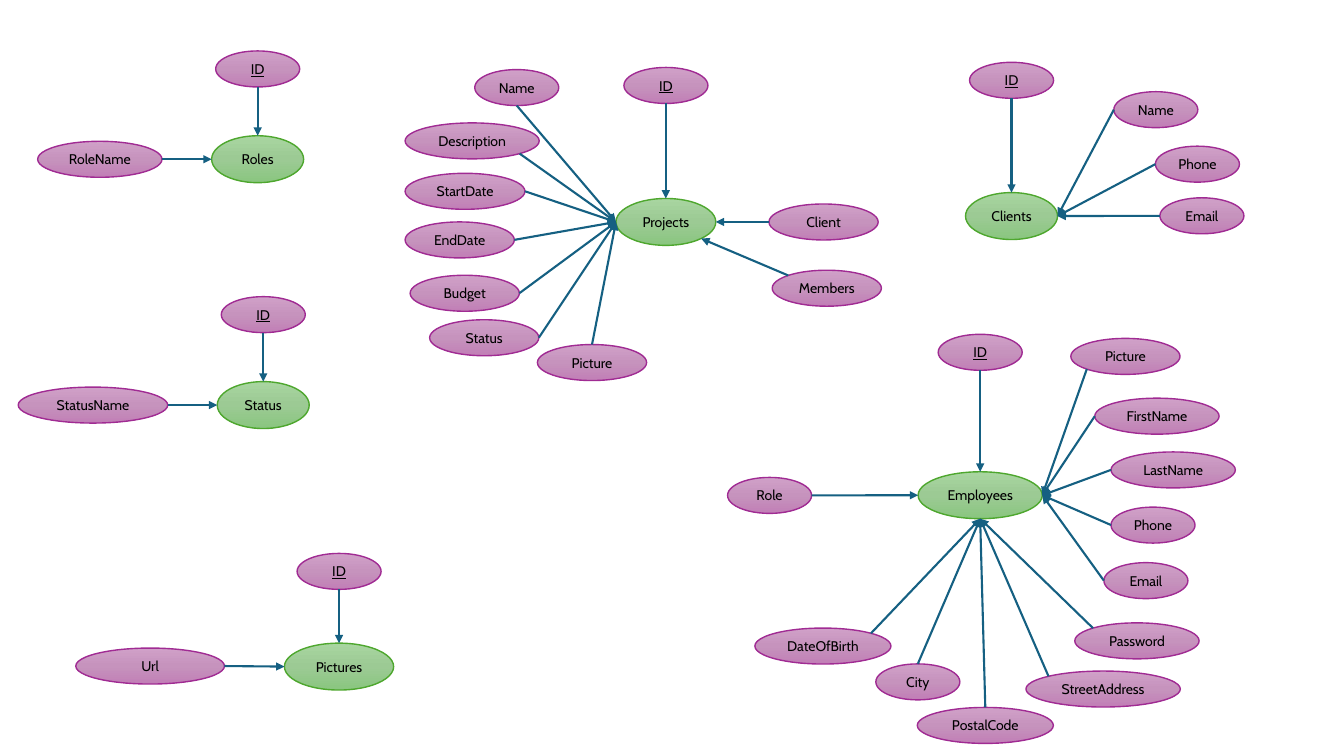
"""Entity diagram: six tables, each with its attributes pointing at it."""
from copy import deepcopy

from lxml.etree import SubElement
from pptx import Presentation
from pptx.dml.color import RGBColor
from pptx.enum.shapes import MSO_CONNECTOR as Link, MSO_SHAPE as Preset
from pptx.enum.text import MSO_ANCHOR as Anchor, PP_ALIGN as Align
from pptx.oxml.ns import qn
from pptx.util import Pt

BLACK = RGBColor(0x00, 0x00, 0x00)
ARROW_BLUE = RGBColor(0x15, 0x60, 0x82)
GREEN_EDGE = RGBColor(0x4E, 0xA7, 0x2E)
PURPLE_EDGE = RGBColor(0xA0, 0x2B, 0x93)
GREENS = (RGBColor(0xA8, 0xD5, 0xA0), RGBColor(0x9C, 0xCA, 0x94), RGBColor(0x8A, 0xC6, 0x80))
PURPLES = (RGBColor(0xD0, 0xA0, 0xC8), RGBColor(0xC6, 0x93, 0xBD), RGBColor(0xC1, 0x7F, 0xB6))

ENTITY_HEIGHT, ATTRIBUTE_HEIGHT = 33.5, 25.7
SHORT, MEDIUM, LONG = 60, 78, 88.8
DIAGONAL = 0.5 ** 0.5
SITES = {
    "top": (0, 0, -1), "top left": (1, -DIAGONAL, -DIAGONAL),
    "left": (2, -1, 0), "bottom left": (3, -DIAGONAL, DIAGONAL),
    "bottom": (4, 0, 1), "bottom right": (5, DIAGONAL, DIAGONAL),
    "right": (6, 1, 0), "top right": (7, DIAGONAL, -DIAGONAL),
}
LABEL_FONT = {"name": "Cabin", "size": Pt(10)}

ENTITIES = [
    ("Projects", 440, 141.8, 71.3, 48.2, [
        ("Name", 339.1, 49.7, SHORT, "bottom", "left"),
        ("Description", 289.4, 87.8, 95.8, "bottom right", "left"),
        ("StartDate", 289.4, 123.8, 85.6, "right", "left"),
        ("EndDate", 289.4, 158.5, MEDIUM, "right", "left"),
        ("Budget", 293, 196.6, MEDIUM, "right", "left"),
        ("Status", 306.9, 228.4, MEDIUM, "right", "left"),
        ("Picture", 383.9, 246.1, MEDIUM, "top", "left"),
        ("Client", 549.3, 145.7, MEDIUM, "left", "right"),
        ("Members", 551.6, 193, MEDIUM, "top left", "bottom right"),
    ]),
    ("Clients", 689.7, 137.6, 65.7, 44.5, [
        ("Name", 795.6, 65.5, SHORT, "left", "right"),
        ("Phone", 825.3, 104.4, SHORT, "left", "right"),
        ("Email", 828.5, 141.3, SHORT, "left", "right"),
    ]),
    ("Employees", 655.8, 337, 88.7, 238.8, [
        ("FirstName", 782, 284.4, LONG, "left", "right"),
        ("LastName", 793.6, 322.8, LONG, "left", "right"),
        ("Phone", 793.6, 362.2, SHORT, "left", "right"),
        ("Email", 788.5, 401.9, SHORT, "left", "right"),
        ("Role", 519.7, 341, SHORT, "right", "left"),
        ("Password", 767.7, 444.9, LONG, "top left", "bottom"),
        ("Picture", 764.9, 241.7, MEDIUM, "bottom left", "right"),
        ("StreetAddress", 732.8, 479.3, 110.3, "top left", "bottom"),
        ("PostalCode", 655.2, 505.3, 97.2, "top", "bottom"),
        ("City", 625.6, 474.2, SHORT, "top", "bottom"),
        ("DateOfBirth", 539.2, 448.6, 97.2, "top right", "bottom"),
    ]),
    ("Roles", 151.2, 97, 65.7, 36.4, [
        ("RoleName", 26.9, 100.9, LONG, "right", "left"),
    ]),
    ("Status", 155.2, 272.6, 65.7, 211.9, [
        ("StatusName", 13, 276.5, 106.8, "right", "left"),
    ]),
    ("Pictures", 203.2, 459.4, MEDIUM, 395.3, [
        ("Url", 54.1, 462.9, 106.2, "right", "left"),
    ]),
]


def add_oval(slide, label, left, top, width, height, shades, edge):
    """Add a gradient oval with a centred label and return it."""
    oval = slide.shapes.add_shape(Preset.OVAL, Pt(left), Pt(top), Pt(width), Pt(height))
    oval.shadow.inherit = False
    oval.fill.gradient()
    oval.fill.gradient_angle = 270
    stop_list = oval._element.spPr.find(qn("a:gradFill")).find(qn("a:gsLst"))
    stop_list.insert(1, deepcopy(stop_list[0]))
    for stop, shade, position in zip(oval.fill.gradient_stops, shades, (0, 0.5, 1)):
        stop.color.rgb = shade
        stop.position = position
    oval.line.color.rgb = edge
    oval.line.width = Pt(1)
    frame = oval.text_frame
    frame.word_wrap = False
    frame.vertical_anchor = Anchor.MIDDLE
    paragraph = frame.paragraphs[0]
    paragraph.alignment = Align.CENTER
    run = paragraph.add_run()
    run.text = label
    for key, value in LABEL_FONT.items():
        setattr(run.font, key, value)
    run.font.color.rgb = BLACK
    if label == "ID":
        run.font.underline = True
    return oval


def add_arrow(slide, start, start_site, end, end_site):
    """Join two ovals at the named sites with an arrow."""
    ends = []
    for oval, site in ((start, start_site), (end, end_site)):
        _, across, down = SITES[site]
        ends.append(int(oval.left + oval.width * (1 + across) / 2))
        ends.append(int(oval.top + oval.height * (1 + down) / 2))
    arrow = slide.shapes.add_connector(Link.STRAIGHT, *ends)
    arrow.line.color.rgb = ARROW_BLUE
    arrow.line.width = Pt(1.5)
    properties = arrow._element.spPr
    SubElement(properties.find(qn("a:ln")), qn("a:tailEnd"), type="triangle")
    SubElement(properties, qn("a:effectLst"))
    joints = arrow._element.nvCxnSpPr.cNvCxnSpPr
    for tag, oval, site in (("a:stCxn", start, start_site), ("a:endCxn", end, end_site)):
        SubElement(joints, qn(tag), id=str(oval.shape_id), idx=str(SITES[site][0]))


deck = Presentation()
deck.slide_width, deck.slide_height = Pt(960), Pt(540)
diagram = deck.slides.add_slide(deck.slide_layouts[6])

for entity_name, left, top, width, key_top, attributes in ENTITIES:
    entity = add_oval(diagram, entity_name, left, top, width, ENTITY_HEIGHT, GREENS, GREEN_EDGE)
    key = ("ID", left + (width - SHORT) / 2, key_top, SHORT, "bottom", "top")
    for name, x, y, length, exit_site, entry_site in [key, *attributes]:
        attribute = add_oval(diagram, name, x, y, length, ATTRIBUTE_HEIGHT, PURPLES, PURPLE_EDGE)
        add_arrow(diagram, attribute, exit_site, entity, entry_site)

deck.save("out.pptx")
